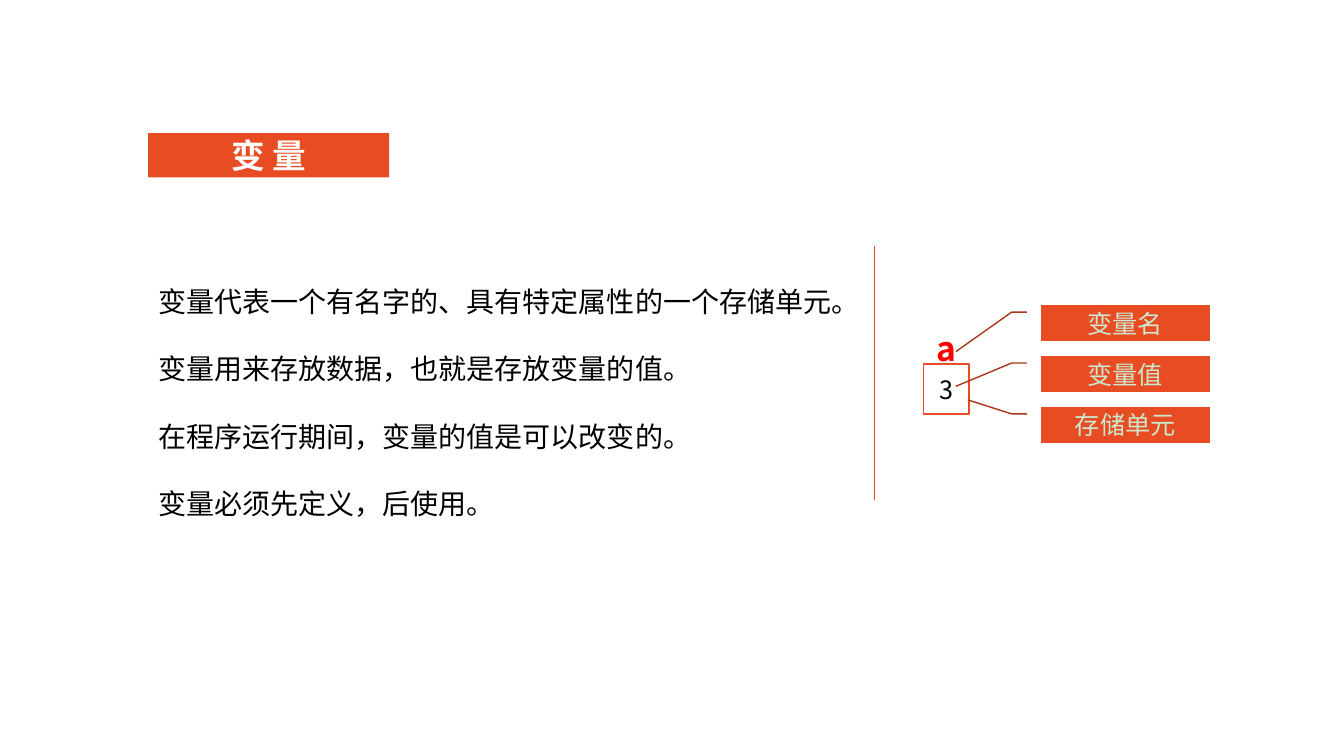
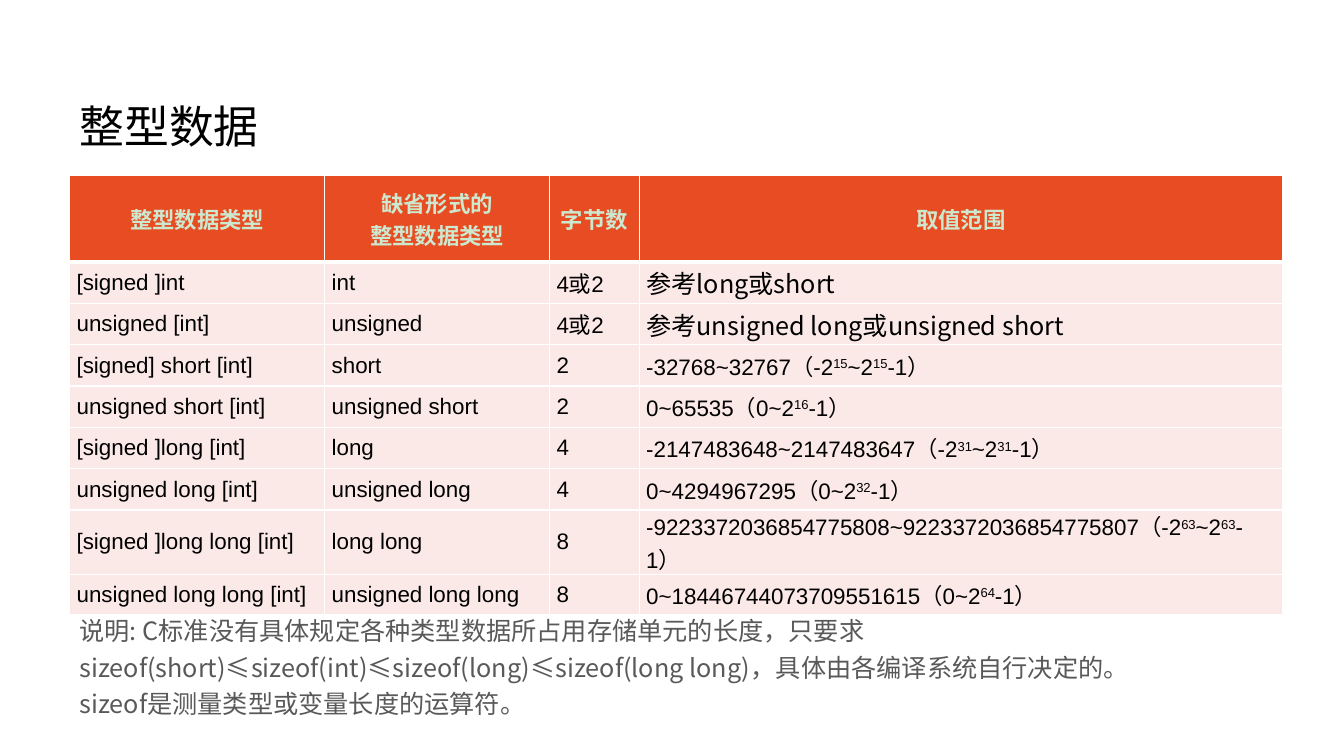
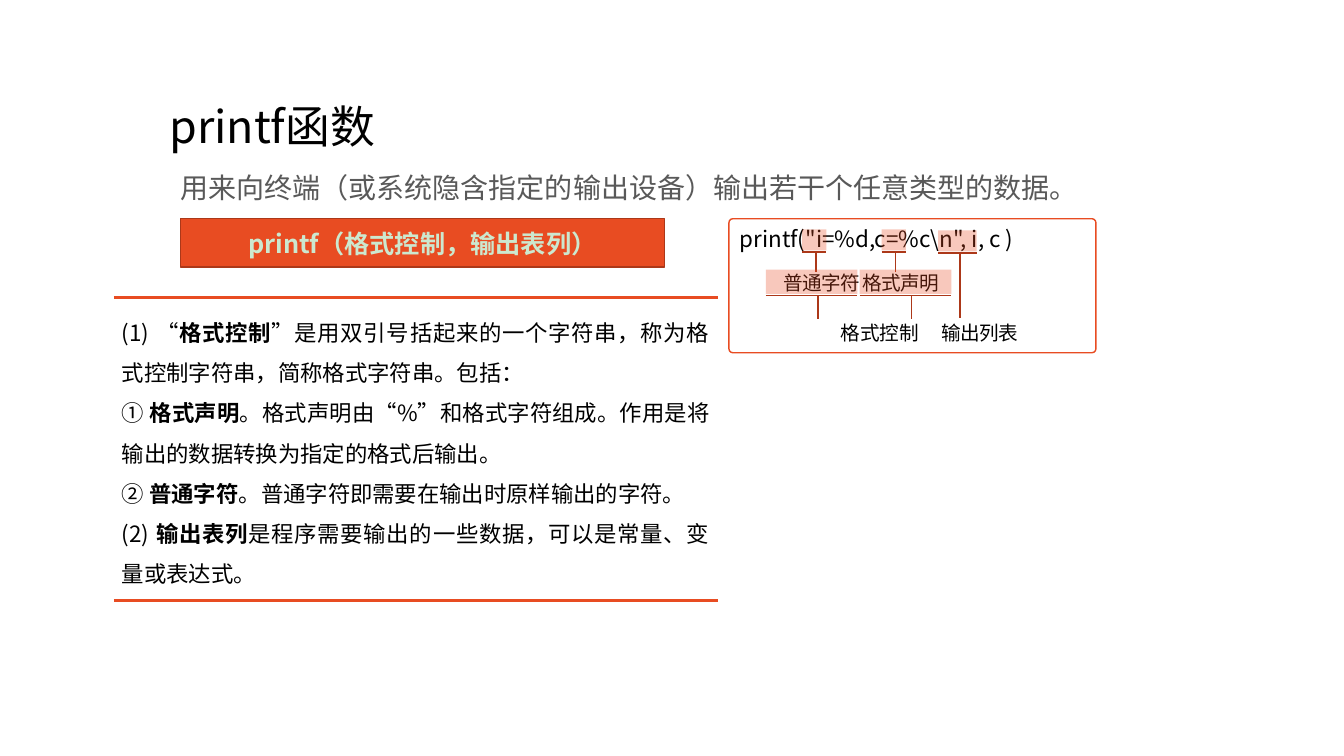
from pptx import Presentation
from pptx.dml.color import RGBColor
from pptx.enum.shapes import MSO_CONNECTOR, MSO_SHAPE
from pptx.enum.text import MSO_ANCHOR, PP_ALIGN
from pptx.oxml.ns import qn
from pptx.util import Inches, Pt
from lxml import etree

RECT, ROUND = MSO_SHAPE.RECTANGLE, MSO_SHAPE.ROUNDED_RECTANGLE
CALL = MSO_SHAPE.LINE_CALLOUT_2_NO_BORDER
BAR = MSO_SHAPE.LINE_CALLOUT_2_ACCENT_BAR
LINE = MSO_CONNECTOR.STRAIGHT
TOP, MID = MSO_ANCHOR.TOP, MSO_ANCHOR.MIDDLE
LEFT, CENTER, JUST = PP_ALIGN.LEFT, PP_ALIGN.CENTER, PP_ALIGN.JUSTIFY

SANS, LATIN = "Noto Sans CJK SC", "Arial"
HUE = {"main": "E84C22", "dark": "AC3819", "pale": "CCE8CF", "row": "FBE9E8",
       "white": "FFFFFF", "black": "000000", "gray": "595959", "red": "FF0000"}

# Content: text between bars takes the accent of its box (bold, raised, ...)
FACTS = ["变量代表一个有名字的、具有特定属性的一个存储单元。",
         "变量用来存放数据，也就是存放变量的值。",
         "在程序运行期间，变量的值是可以改变的。",
         "变量必须先定义，后使用。"]
# Label, and where its leader ends (share of height, share of width)
LABELS = [("变量名", 1.31, -0.5), ("变量值", 0.85, -0.5), ("存储单元", -0.21, -0.43)]

HEAD = [["整型数据类型"], ["缺省形式的", "整型数据类型"], ["字节数"], ["取值范围"]]
TYPES = [
    ("[signed ]int", "int", "4或2", "参考long或short"),
    ("unsigned [int]", "unsigned", "4或2", "参考unsigned long或unsigned short"),
    ("[signed] short [int]", "short", "2", "-32768~32767（-2|15|~2|15|-1）"),
    ("unsigned short [int]", "unsigned short", "2", "0~65535（0~2|16|-1）"),
    ("[signed ]long [int]", "long", "4",
     "-2147483648~2147483647（-2|31|~2|31|-1）"),
    ("unsigned long [int]", "unsigned long", "4", "0~4294967295（0~2|32|-1）"),
    ("[signed ]long long [int]", "long long", "8",
     "-9223372036854775808~9223372036854775807（-2|63|~2|63|-1）"),
    ("unsigned long long [int]", "unsigned long long", "8",
     "0~18446744073709551615（0~2|64|-1）"),
]
COLS = [2.53, 2.23, 0.89, 6.38]
# The seventh type has a range of two lines
ROWS = [0.86] + [0.41] * 6 + [0.64, 0.4]
NOTES = ["说明: C标准没有具体规定各种类型数据所占用存储单元的长度，只要求"
         "sizeof(short)≤sizeof(int)≤sizeof(long)≤sizeof(long long)，"
         "具体由各编译系统自行决定的。",
         "sizeof是测量类型或变量长度的运算符。"]

RULES = ["(1) “|格式控制|”是用双引号括起来的一个字符串，称为格式控制字符串，"
         "简称格式字符串。包括：",
         "① |格式声明|。格式声明由“%”和格式字符组成。"
         "作用是将输出的数据转换为指定的格式后输出。",
         "② |普通字符|。普通字符即需要在输出时原样输出的字符。",
         "(2) |输出表列|是程序需要输出的一些数据，可以是常量、变量或表达式。"]
# Marked spans: box before its quarter turn, and length of the leader
SPANS = [((7.97, 2.26, 0.21, 0.24), -1.03), ((8.76, 2.26, 0.21, 0.24), -1.03),
         ((9.39, 2.2, 0.21, 0.38), -3.15),
         ((7.93, 2.34, 0.24, 0.91), -1.03), ((8.86, 2.34, 0.24, 0.91), -1.03)]


def rgb(name):
    return RGBColor.from_string(HUE[name])


def fill_text(frame, paras, size, hue="black", bold=False, font=SANS, align=LEFT,
              space=None, accent=None):
    """Write paragraphs; accent holds the run attributes of marked text."""
    for i, text in enumerate(paras):
        para = frame.paragraphs[0] if i == 0 else frame.add_paragraph()
        para.alignment = align
        if space:
            para.line_spacing = space
        for j, part in enumerate(text.split("|")):
            if not part:
                continue
            run = para.add_run()
            run.text = part
            run.font.size, run.font.bold = Pt(size), bold
            run.font.name, run.font.color.rgb = font, rgb(hue)
            props = run.font._element
            east = etree.Element(qn("a:ea"), typeface=SANS)
            props.find(qn("a:latin")).addnext(east)
            if j % 2:
                for key, val in accent.items():
                    props.set(key, val)


def set_frame(frame, anchor, inset):
    frame.word_wrap = True
    frame.vertical_anchor = anchor
    if inset is not None:
        frame.margin_left = frame.margin_right = Inches(inset)
        frame.margin_top = frame.margin_bottom = Inches(inset)


def add_text(slide, box, paras, size, anchor=TOP, inset=None, **look):
    shape = slide.shapes.add_textbox(*map(Inches, box))
    set_frame(shape.text_frame, anchor, inset)
    fill_text(shape.text_frame, paras, size, **look)


def add_box(slide, kind, box, fill, line=None, adj=(), paras=(), size=18,
            anchor=MID, inset=None, **look):
    shape = slide.shapes.add_shape(kind, *map(Inches, box))
    shape.shadow.inherit = False
    shape.fill.solid()
    shape.fill.fore_color.rgb = rgb(fill)
    if line:
        shape.line.color.rgb, shape.line.width = rgb(line), Pt(1)
    else:
        shape.line.fill.background()
    for i, val in enumerate(adj):
        shape.adjustments[i] = val
    set_frame(shape.text_frame, anchor, inset)
    fill_text(shape.text_frame, paras, size, **look)
    return shape


def add_line(slide, x1, y1, x2, y2, hue, width):
    line = slide.shapes.add_connector(LINE, *map(Inches, (x1, y1, x2, y2)))
    line.line.color.rgb, line.line.width = rgb(hue), Pt(width)
    etree.SubElement(line._element.spPr, qn("a:effectLst"))


def add_title(slide, left, width, text):
    add_text(slide, (left, 0.55, width, 1.45), [text], 32, anchor=MID, space=0.9)


def set_cell(cell, fill, low):
    """Fill, margins and white borders; low is the width of the bottom one."""
    cell.margin_left = cell.margin_right = Inches(0.07)
    cell.margin_top = cell.margin_bottom = 0
    cell.vertical_anchor = MID
    props = cell._tc.get_or_add_tcPr()
    for side, width in (("L", 1), ("R", 1), ("T", 1), ("B", low)):
        edge = etree.SubElement(props, qn("a:ln" + side), w=str(Pt(width)))
        solid = etree.SubElement(edge, qn("a:solidFill"))
        etree.SubElement(solid, qn("a:srgbClr"), val=HUE["white"])
    cell.fill.solid()
    cell.fill.fore_color.rgb = rgb(fill)


def add_slide(deck):
    slide = deck.slides.add_slide(deck.slide_layouts[6])
    slide.background.fill.solid()
    slide.background.fill.fore_color.rgb = rgb("white")
    return slide


def draw_vars(slide):
    add_box(slide, RECT, (1.47, 1.32, 2.39, 0.44), "main", paras=["变 量"], size=24,
            inset=0, hue="white", bold=True, align=CENTER)
    add_text(slide, (1.47, 2.44, 7.05, 2.79), FACTS, 20, space=2.0)
    # Storage cell and its callouts
    add_text(slide, (9.16, 3.2, 0.45, 0.5), ["a"], 24, hue="red", bold=True,
             align=CENTER)
    add_box(slide, RECT, (9.16, 3.61, 0.45, 0.5), "white", "main", paras=["3"],
            align=CENTER)
    for i, (name, down, over) in enumerate(LABELS):
        add_box(slide, CALL, (10.32, 3.03 + i * 0.505, 1.68, 0.35), "main", "dark",
                adj=(0.19, -0.08, 0.19, -0.17, down, over), paras=[name],
                hue="pale", align=CENTER)
    add_line(slide, 8.67, 2.44, 8.67, 4.96, "main", 0.5)


def draw_types(slide):
    add_title(slide, 0.69, 11.5, "整型数据")
    grid = slide.shapes.add_table(
        len(ROWS), len(COLS), Inches(0.69), Inches(1.74),
        Inches(sum(COLS)), Inches(sum(ROWS))).table
    for col, width in zip(grid.columns, COLS):
        col.width = Inches(width)
    for row, height in zip(grid.rows, ROWS):
        row.height = Inches(height)
    for c, paras in enumerate(HEAD):
        cell = grid.cell(0, c)
        set_cell(cell, "main", 3)
        fill_text(cell.text_frame, paras, 16, hue="pale", bold=True, font=LATIN,
                  align=CENTER)
    for r, row in enumerate(TYPES, 1):
        for c, text in enumerate(row):
            cell = grid.cell(r, c)
            set_cell(cell, "row", 1)
            size, font = (18, SANS) if text.startswith("参考") else (16, LATIN)
            fill_text(cell.text_frame, [text], size, font=font,
                      accent={"baseline": "30000"})
    add_text(slide, (0.69, 6, 12.03, 1.17), NOTES, 18, hue="gray", space=1.2)


def draw_print(slide):
    add_title(slide, 1.58, 6.48, "printf函数")
    add_text(slide, (1.69, 1.68, 9.37, 0.64),
             ["用来向终端（或系统隐含指定的输出设备）输出若干个任意类型的数据。"],
             20, hue="gray", space=0.9)
    add_box(slide, RECT, (1.79, 2.17, 4.8, 0.48), "main", "dark",
            paras=["printf（格式控制，输出表列）"], hue="pale", bold=True, align=CENTER)
    # Sample call with marked spans
    add_box(slide, ROUND, (7.23, 2.17, 3.64, 1.33), "white", "main", adj=[0.03],
            paras=['printf("i=%d,c=%c\\n", i, c )'], size=16, anchor=TOP)
    tight = {"spc": "-50"}
    add_text(slide, (7.67, 2.64, 3.2, 0.34), ["|普通字符 格式声明"], 14, accent=tight)
    for box, tail in SPANS:
        span = add_box(slide, BAR, box, "main", "dark",
                       adj=(0.19, -0.08, 0.57, -0.08, 0.57, tail))
        span.rotation = 270
        tint = span._element.spPr.find(qn("a:solidFill")).find(qn("a:srgbClr"))
        etree.SubElement(tint, qn("a:alpha"), val="30000")
    add_text(slide, (8.24, 3.13, 2.64, 0.34), ["格式控制\t|输出列表"], 14, accent=tight)
    # Explanation between two rules
    for y in (2.95, 5.96):
        add_line(slide, 1.13, y, 7.12, y, "main", 2)
    add_text(slide, (1.13, 2.95, 5.99, 3.01), RULES, 16, inset=0.08, align=JUST,
             space=1.5, accent={"b": "1"})


def main():
    deck = Presentation()
    deck.slide_width, deck.slide_height = Inches(13.33), Inches(7.5)
    for draw in (draw_vars, draw_types, draw_print):
        draw(add_slide(deck))
    deck.save("out.pptx")


if __name__ == "__main__":
    main()
